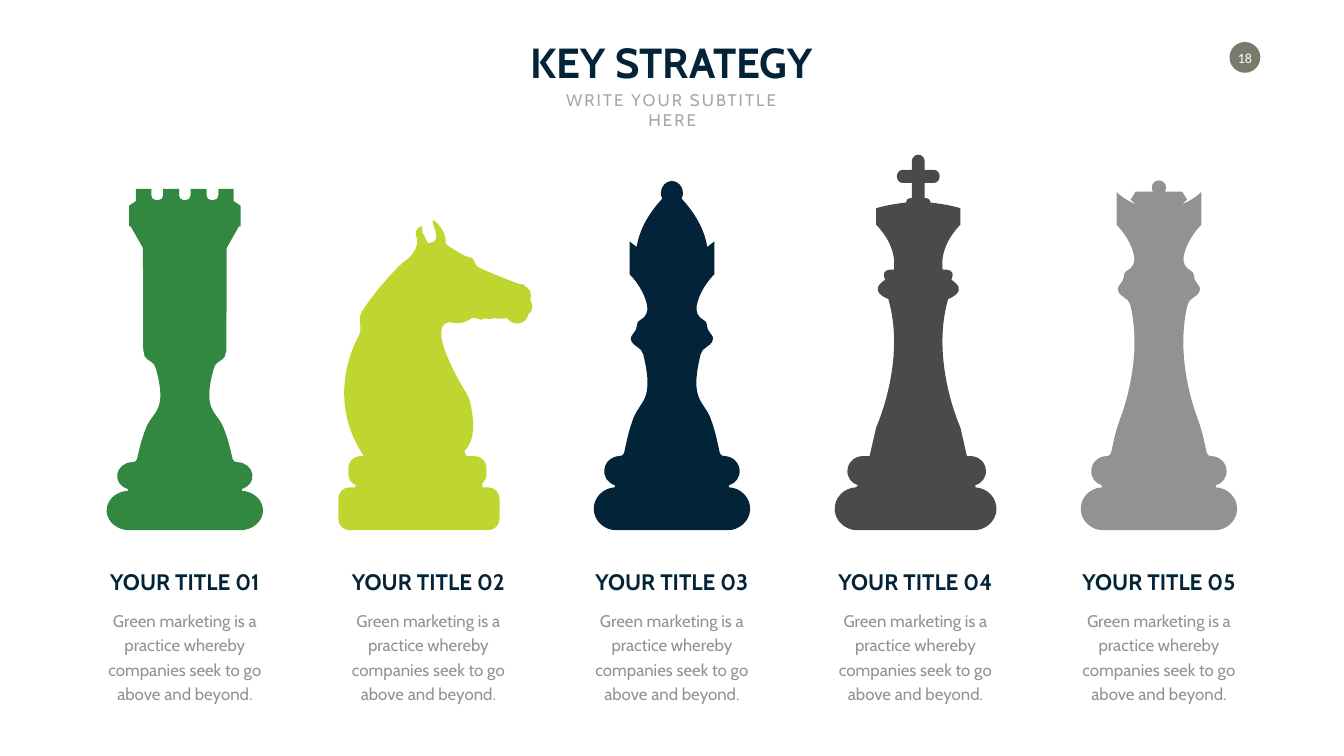
from pptx import Presentation
from pptx.dml.color import RGBColor
from pptx.enum.shapes import MSO_SHAPE
from pptx.enum.text import MSO_ANCHOR, PP_ALIGN
from pptx.oxml.ns import qn
from pptx.oxml.xmlchemy import OxmlElement
from pptx.util import Pt

OVAL = MSO_SHAPE.OVAL
TOP, MIDDLE, BOTTOM = MSO_ANCHOR.TOP, MSO_ANCHOR.MIDDLE, MSO_ANCHOR.BOTTOM
CENTER = PP_ALIGN.CENTER

THEME = {
    "font": "Cabin", "number_font": "Calibri",
    "background": "FEFFFE", "navy": "022338", "green": "328840", "lime": "BED62F",
    "charcoal": "4A4A4C", "grey": "929294", "pale": "A6A6A6", "olive": "767B6C",
    "white": "FFFFFF",
    "title": 60, "subtitle": 24, "heading": 32, "body": 24, "number": 20,
}

TITLE = "KEY STRATEGY"
SUBTITLE = "WRITE YOUR SUBTITLE HERE"
PAGE_NUMBER = "18"
HEADINGS = [f"YOUR TITLE {number:02d}" for number in range(1, 6)]
DESCRIPTION = "Green marketing is a practice whereby companies seek to go above and beyond."

FLOOR = 757.4
COLUMN_START, COLUMN_PITCH = 264, 347.8
HEADING_WIDTH, DESCRIPTION_WIDTH = 240, 286.6

FOOT = [
    (0, FLOOR), (79.9, FLOOR),
    (95.8, FLOOR, 110.2, 745.2, 111.6, 729.4), (113, 711.4, 98.6, 697, 81.4, 696.2),
]
RING = [
    (81.4, 693.4), (90.7, 690.5, 97.9, 681.8, 96.5, 671),
    (95.8, 660.2, 85.7, 651.6, 74.9, 651.6),
]
SKIRT = [
    (72, 651.6, 69.1, 650.2, 68.4, 647.3), (64.1, 627.8),
    (61.9, 617.8, 59, 608.4, 55.4, 598.3),
]
COLLAR = [
    (42.5, 430.6, 45.4, 427, 49.7, 424.8), (55.4, 421.2, 63.4, 414.7, 55.4, 406.1),
    (51.8, 402.5, 49.7, 397.4, 49.7, 392.4), (49.7, 390.2, 48.2, 388.1, 45.4, 386.6),
    (37.4, 383, 33.8, 374.4, 35.3, 366.5), (37.4, 355, 43.9, 338.4, 60.5, 321.1),
    (60.5, 274.3),
]
ROOK_TOWER = [
    (45.7, 586.8, 24.1, 588.2, 41.4, 526.3), (42.1, 522, 45, 519.1, 47.9, 517),
    (49.3, 516.2), (53.6, 513.4, 58.7, 509.8, 58, 505.4),
    (59.4, 502.6, 59.4, 499.7, 59.4, 496.8), (59.8, 354.2), (77.4, 323.3),
    (79.6, 323.3), (79.6, 293.8), (69.8, 287.3), (69.8, 270), (47.9, 270),
    (47.9, 279.4), (47.9, 283, 45, 285.8, 41.4, 285.8), (37.4, 285.8),
    (33.8, 285.8, 31, 283, 31, 279.4), (31, 270), (8.3, 270), (8.3, 279.4),
    (8.3, 283, 5.4, 285.8, 1.8, 285.8), (0, 285.8),
]
KNIGHT = [
    (499, 696.2), (507.6, 696.2), (507.6, 692.6),
    (501.8, 690.5, 497.5, 684.7, 497.5, 677.5), (497.5, 668.2),
    (497.5, 659.5, 505.4, 651.6, 514.1, 651.6), (519.8, 651.6),
    (460.8, 564.5, 512.6, 479.5, 512.6, 479.5), (518.4, 467.3, 509.8, 455.8, 517, 445),
    (543.6, 404, 574.6, 375.8, 574.6, 375.8), (604.8, 355, 594, 336.2, 594, 336.2),
    (592.6, 324, 602.6, 323.3, 602.6, 323.3), (603.4, 331.9), (611.3, 347.8),
    (619.9, 344.9), (631.4, 338.4, 607.7, 304.6, 622.8, 317.5),
    (638.6, 331.2, 636.5, 347.8, 636.5, 347.8), (638.6, 352.1, 664.6, 365.8, 664.6, 365.8),
    (674.6, 368.6), (681.1, 380.2), (684, 383.8, 740.2, 405.4, 740.2, 405.4),
    (750.2, 406.8), (750.2, 406.8, 745.2, 406.8, 753.1, 411.1),
    (761, 415.4, 757.4, 428.4, 757.4, 428.4), (763.2, 439.9, 758.9, 445.7, 754.6, 448.6),
    (754.6, 448.6, 752.4, 463, 737.3, 462.2), (729.4, 462.2, 723.6, 453.6, 723.6, 453.6),
    (722.2, 457.2, 706.3, 454.3, 706.3, 454.3), (706.3, 454.3, 697.7, 457.2, 694.8, 455),
    (691.9, 452.9, 686.9, 458.6, 685.4, 456.5), (684, 454.3, 673.9, 454.3, 673.9, 454.3),
    (658.1, 466.6, 642.2, 460.1, 642.2, 460.1), (604.8, 464.4, 666, 561.6, 666, 561.6),
    (670.3, 570.2), (680.4, 609.8, 675.4, 632.9, 663.1, 644.4), (666, 651.6),
    (678.2, 651.6), (687.6, 651.6, 694.8, 659.5, 694.8, 668.2), (694.8, 677.5),
    (694.8, 682.6, 692.6, 687.6, 689, 690.5), (689, 696.2), (697, 696.2),
    (706.3, 696.2, 713.5, 703.4, 713.5, 712.8), (713.5, 740.9),
    (713.5, 750.2, 706.3, FLOOR, 697, FLOOR), (499, FLOOR),
    (490.3, FLOOR, 483.1, 750.2, 483.1, 740.9), (483.1, 712.8),
    (483.1, 703.4, 490.3, 696.2, 499, 696.2),
]
BISHOP_WAIST = [(45.4, 571.7, 24.5, 573.1, 41, 506.2)]
BISHOP_HEAD = [
    (56.9, 347.8, 53.3, 350.6, 50.4, 352.8), (47.5, 334.8, 38.9, 311, 13.7, 283.7),
    (15.1, 281.5, 15.8, 278.6, 15.8, 275.8), (15.8, 266.4, 8.6, 258.5, 0, 258.5),
]
KING_BODY = [
    (69.5, 651.6), (60.1, 610.6), (60.1, 610.6, 16.9, 515.5, 42.8, 427),
    (42.8, 427, 73.8, 416.9, 47.2, 399.6), (47.2, 399.6, 56.5, 383.8, 34.9, 385.2),
    (34.9, 385.2, 27.7, 354.2, 60.1, 321.1), (60.1, 297.4),
    (45, 293, 30.6, 290.9, 17.6, 289.4), (17.6, 285.8, 14.8, 283, 11.9, 283),
    (9, 283), (9, 261.4), (22, 261.4), (27, 261.4, 30.6, 257, 30.6, 252),
    (30.6, 247, 27, 242.6, 22, 242.6), (9, 242.6), (9, 229.7), (9, 225.4, 5, 221, 0, 221),
]
QUEEN_WAIST = [(45.4, 571.7, 24.5, 502.6, 41, 434.9)]
QUEEN_CROWN = [
    (53.3, 281.5, 43.9, 287.3, 33.8, 291.6), (31.7, 293), (40.3, 285.1), (33.1, 273.6),
    (8.6, 273.6), (9.4, 272.2, 10.1, 270, 10.1, 267.8),
    (10.1, 262.1, 5.8, 257.8, 0, 257.8),
]


def pairs(segment):
    return list(zip(segment[::2], segment[1::2]))


def adjust(segments, widen=0, lower=0, height=1):
    return [
        tuple(
            value for x, y in pairs(segment)
            for value in (x + widen if x else 0, FLOOR - (FLOOR - y) * height + lower)
        )
        for segment in segments
    ]


def mirrored(right, left=None):
    left = left or right
    outline = list(right)
    for previous, segment in zip(left[-2::-1], left[:0:-1]):
        backwards = pairs(segment)[-2::-1] + [previous[-2:]]
        outline.append(tuple(value for x, y in backwards for value in (-x, y)))
    return outline


def add_outline(slide, segments, axis, color):
    placed = [[(Pt(axis + x), Pt(y)) for x, y in pairs(segment)] for segment in segments]
    ends = [points[-1] for points in placed]
    builder = slide.shapes.build_freeform(*ends[0], scale=1.0)
    builder.add_line_segments(ends[1:], close=True)
    shape = builder.convert_to_shape()
    for step, points in zip(list(shape._element.iter(qn("a:lnTo"))), placed[1:]):
        if len(points) == 1:
            continue
        step.tag = qn("a:cubicBezTo")
        for position, (x, y) in enumerate(points[:-1]):
            control = OxmlElement("a:pt")
            control.set("x", str(x - shape.left))
            control.set("y", str(y - shape.top))
            step.insert(position, control)
    paint(shape, color)


def paint(shape, color):
    shape.shadow.inherit = False
    shape.fill.solid()
    shape.fill.fore_color.rgb = RGBColor.from_string(THEME[color])
    shape.line.fill.background()


def add_text(slide, text, box, size, color, font="font", bold=False, wrap=False,
             anchor=TOP, inset=None, line_height=None, tracking=None):
    frame = slide.shapes.add_textbox(*map(Pt, box)).text_frame
    frame.text = text
    frame.word_wrap = wrap
    frame.vertical_anchor = anchor
    if inset is not None:
        frame.margin_left = frame.margin_right = Pt(inset)
        frame.margin_top = frame.margin_bottom = Pt(inset)
    paragraph = frame.paragraphs[0]
    paragraph.alignment = CENTER
    if line_height:
        paragraph.line_spacing = Pt(line_height)
    run = paragraph.runs[0]
    run.font.name = THEME[font]
    run.font.size = Pt(THEME[size])
    run.font.bold = bold
    run.font.color.rgb = RGBColor.from_string(THEME[color])
    if tracking:
        run.font._element.set("spc", str(tracking * 100))


def main():
    presentation = Presentation()
    presentation.slide_width, presentation.slide_height = Pt(1919.52), Pt(1080)
    slide = presentation.slides.add_slide(presentation.slide_layouts[6])
    slide.background.fill.solid()
    slide.background.fill.fore_color.rgb = RGBColor.from_string(THEME["background"])

    paint(slide.shapes.add_shape(OVAL, Pt(1756), Pt(60), Pt(44), Pt(44)), "olive")
    add_text(slide, PAGE_NUMBER, (1763, 70, 30, 24), "number", "white",
             font="number_font", anchor=MIDDLE, inset=0)
    add_text(slide, TITLE, (731.5, 48, 456, 80), "title", "navy", bold=True)
    add_text(slide, SUBTITLE, (764.5, 124, 391, 36), "subtitle", "pale", wrap=True, tracking=3)

    base = FOOT + RING + SKIRT
    king_left = adjust(FOOT, widen=7.7) + adjust(RING, widen=4.5) + KING_BODY
    bishop = base + BISHOP_WAIST + adjust(COLLAR, lower=70.7) + BISHOP_HEAD
    pieces = [
        (mirrored(adjust(base, height=0.918) + ROOK_TOWER), 264, "green"),
        (KNIGHT, 0, "lime"),
        (mirrored(bishop), 959.7, "navy"),
        (mirrored(FOOT + RING + KING_BODY, king_left), 1311.5, "charcoal"),
        (mirrored(base + QUEEN_WAIST + COLLAR + QUEEN_CROWN), 1655.2, "grey"),
    ]
    for segments, axis, color in pieces:
        add_outline(slide, segments, axis, color)

    for index, heading in enumerate(HEADINGS):
        center = COLUMN_START + index * COLUMN_PITCH
        add_text(slide, heading, (center - HEADING_WIDTH / 2, 808, HEADING_WIDTH, 46),
                 "heading", "navy", bold=True, anchor=BOTTOM)
        add_text(slide, DESCRIPTION,
                 (center - DESCRIPTION_WIDTH / 2, 862, DESCRIPTION_WIDTH, 145),
                 "body", "grey", wrap=True, line_height=35)
    presentation.save("out.pptx")


if __name__ == "__main__":
    main()
